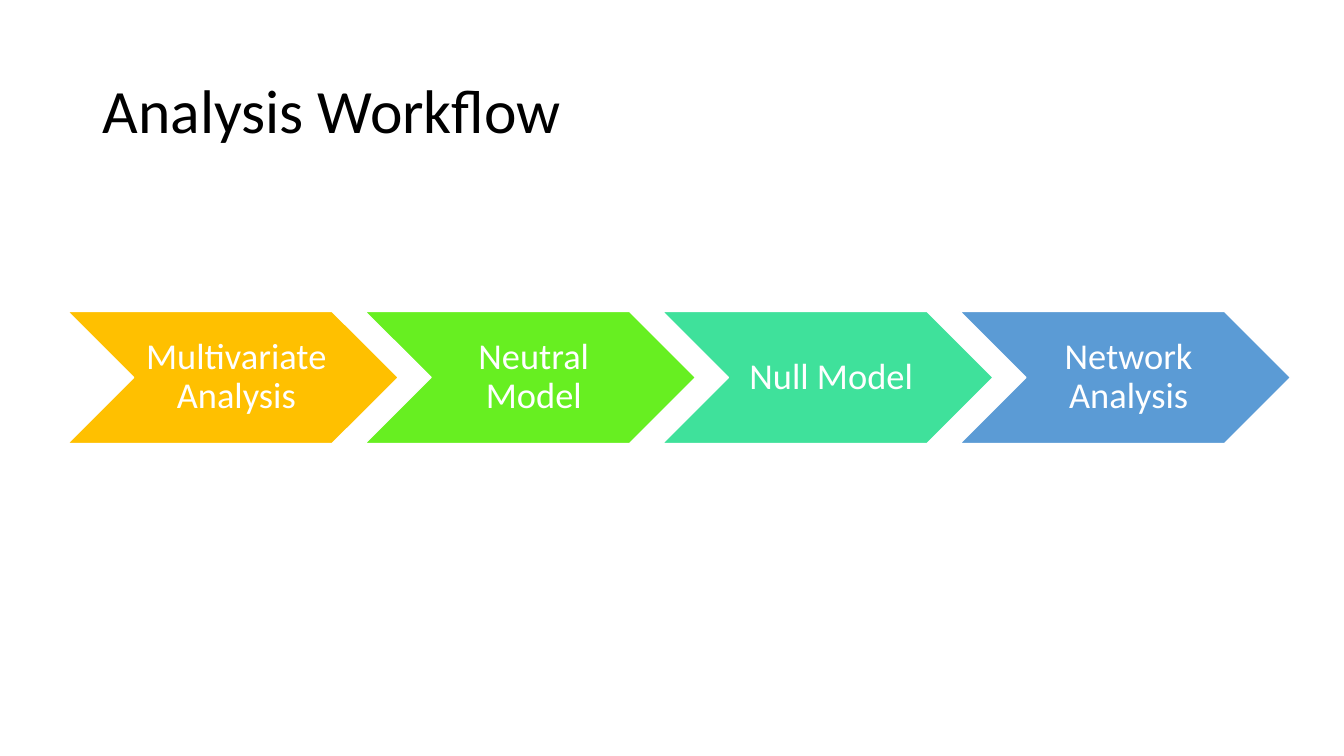
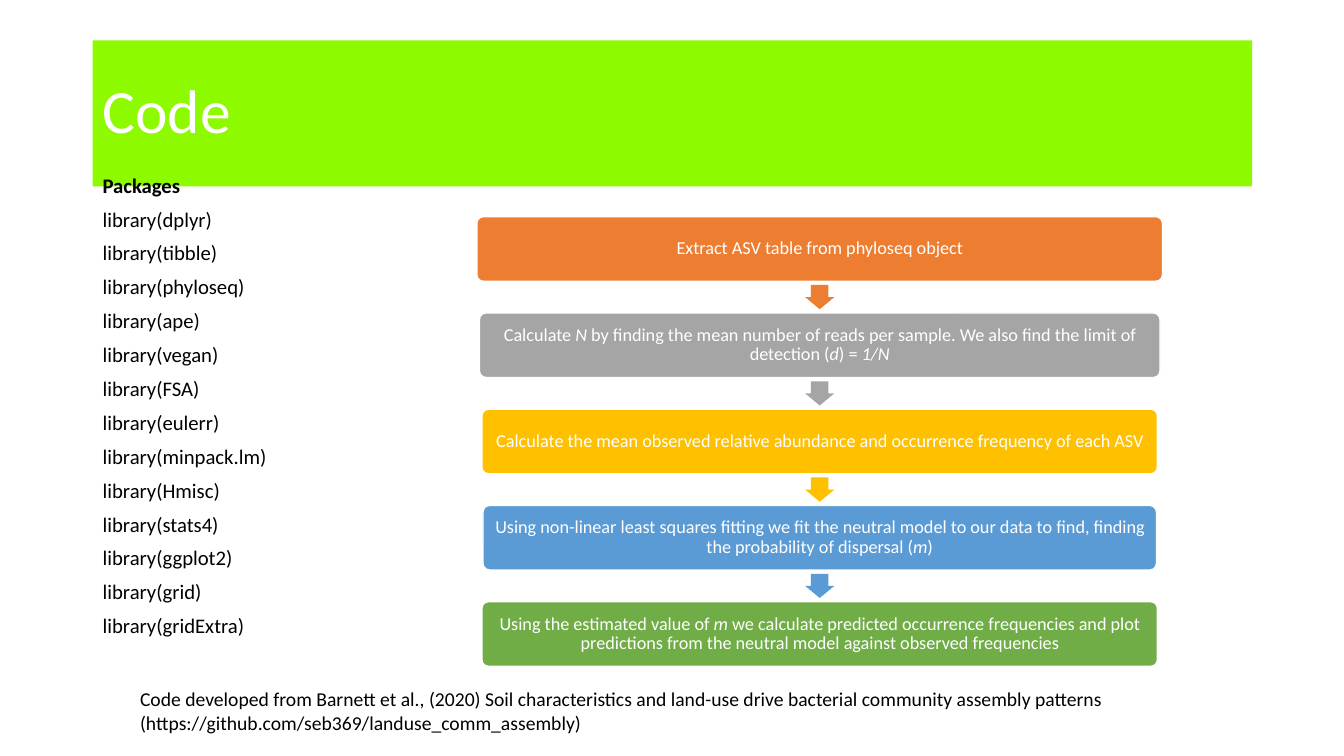
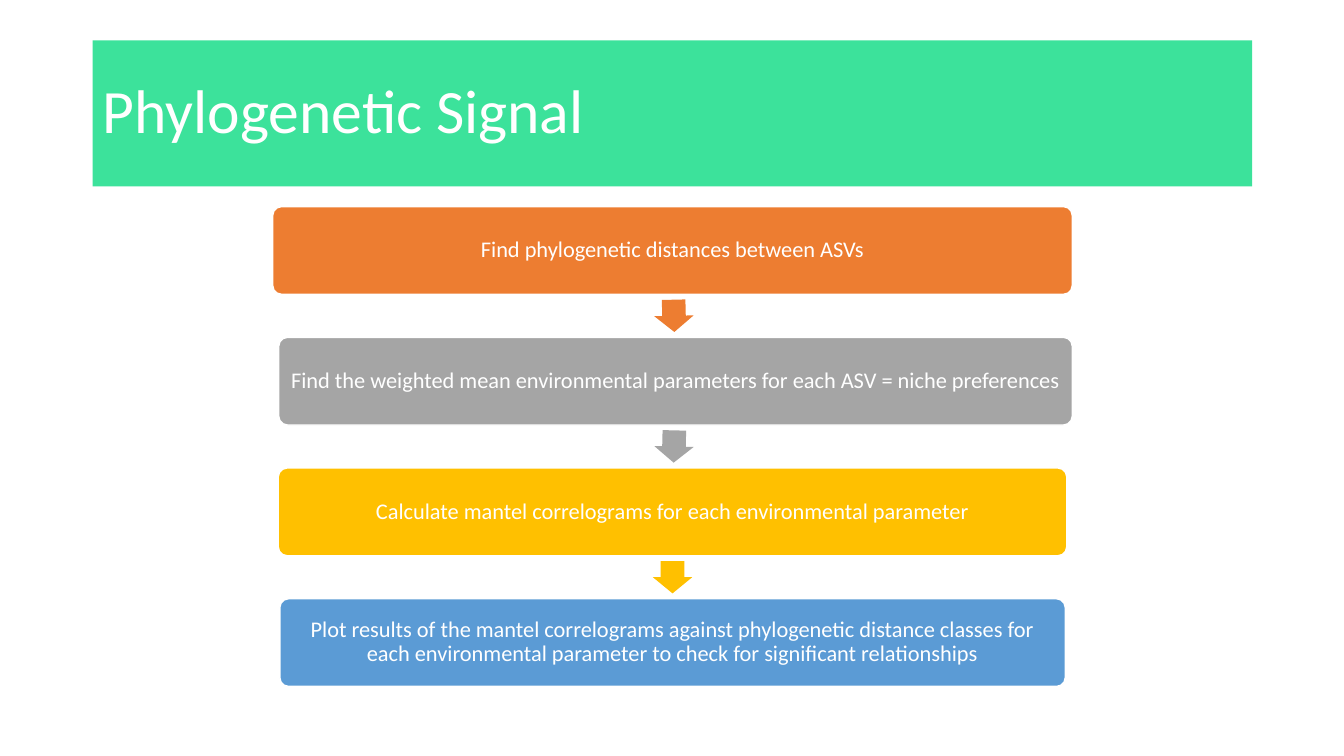
"""Build three slides: the analysis workflow, its code steps and the phylogenetic signal steps."""
import math

from pptx import Presentation
from pptx import util as u
from pptx.dml.color import RGBColor
from pptx.enum import shapes, text

FONT = "Calibri"
BLACK = RGBColor(0x00, 0x00, 0x00)
WHITE = RGBColor(0xFF, 0xFF, 0xFF)
ORANGE = RGBColor(0xED, 0x7D, 0x31)
GREY = RGBColor(0xA5, 0xA5, 0xA5)
GOLD = RGBColor(0xFF, 0xC0, 0x00)
BLUE = RGBColor(0x5B, 0x9B, 0xD5)
GREEN = RGBColor(0x70, 0xAD, 0x47)
LIME = RGBColor(0x67, 0xEF, 0x21)
MINT = RGBColor(0x3F, 0xE1, 0x9B)
LIME_BAND = RGBColor(0x8E, 0xFA, 0x00)
MINT_BAND = RGBColor(0x3C, 0xE2, 0x9B)
STEP_COLOURS = [ORANGE, GREY, GOLD, BLUE, GREEN]


def write(box, words, size, colour, align=text.PP_ALIGN.LEFT, spacing=0.9, anchor=text.MSO_ANCHOR.MIDDLE):
    """Write one paragraph per line, with words between asterisks in italics."""
    frame = box.text_frame
    frame.word_wrap = True
    frame.vertical_anchor = anchor
    for index, line in enumerate(words.split("\n")):
        para = frame.add_paragraph() if index else frame.paragraphs[0]
        para.alignment = align
        para.line_spacing = spacing
        for part, piece in enumerate(line.split("*")):
            span = para.add_run()
            span.text = piece
            span.font.name = FONT
            span.font.size = u.Pt(size)
            span.font.color.rgb = colour
            span.font.italic = part % 2 == 1
    return frame


def add_block(page, kind, left, top, width, height, fill):
    """Add a filled preset shape with a thin white outline."""
    block = page.shapes.add_shape(kind, u.Inches(left), u.Inches(top), u.Inches(width), u.Inches(height))
    block.shadow.inherit = False
    block.fill.solid()
    block.fill.fore_color.rgb = fill
    block.line.color.rgb = WHITE
    block.line.width = u.Pt(1)
    return block


deck = Presentation()
deck.slide_width = u.Inches(13.33)
deck.slide_height = u.Inches(7.5)

pages = []
for title, colour, band in [
    ("Analysis Workflow", BLACK, None),
    ("Code", WHITE, LIME_BAND),
    ("Phylogenetic Signal", WHITE, MINT_BAND),
]:
    page = deck.slides.add_slide(deck.slide_layouts[6])
    title_box = page.shapes.add_textbox(u.Inches(0.92), u.Inches(0.4), u.Inches(11.5), u.Inches(1.45))
    if band is not None:
        title_box.fill.solid()
        title_box.fill.fore_color.rgb = band
    write(title_box, title, 44, colour)
    pages.append(page)
workflow_page, code_page, signal_page = pages

stages = [
    ("Multivariate Analysis", GOLD),
    ("Neutral Model", LIME),
    ("Null Model", MINT),
    ("Network Analysis", BLUE),
]
for index, (stage, colour) in enumerate(stages):
    chevron = add_block(workflow_page, shapes.MSO_SHAPE.CHEVRON, 0.67 + 2.95 * index, 3.09, 3.28, 1.31, colour)
    frame = write(chevron, stage, 26, WHITE, text.PP_ALIGN.CENTER)
    frame.margin_left = u.Inches(0.11)
    frame.margin_right = frame.margin_top = frame.margin_bottom = u.Inches(0.04)

code_steps = [
    (8.13, 6.8, "Extract ASV table from phyloseq object"),
    (8.13, 6.75, "Calculate *N* by finding the mean number of reads per sample. "
     "We also find the limit of detection (*d*) = *1/N*"),
    (8.13, 6.7, "Calculate the mean observed relative abundance and occurrence frequency of each ASV"),
    (8.13, 6.68, "Using non-linear least squares fitting we fit the neutral model to our data to find, "
     "finding the probability of dispersal (*m*)"),
    (8.13, 6.7, "Using the estimated value of *m* we calculate predicted occurrence frequencies and plot "
     "predictions from the neutral model against observed frequencies"),
]
signal_steps = [
    (6.67, 7.93, "Find phylogenetic distances between ASVs"),
    (6.7, 7.87, "Find the weighted mean environmental parameters for each ASV = niche preferences"),
    (6.67, 7.82, "Calculate mantel correlograms for each environmental parameter"),
    (6.67, 7.79, "Plot results of the mantel correlograms against phylogenetic distance classes "
     "for each environmental parameter to check for significant relationships"),
]
flows = [
    (code_page, code_steps, 2.15, 6.61, 0.64, 13, 0.05, 0.29, 0.24),
    (signal_page, signal_steps, 2.05, 6.81, 0.87, 16, 0.07, 0.39, 0.32),
]
for page, steps, first_top, last_bottom, height, size, margin, arrow_width, arrow_height in flows:
    pitch = (last_bottom - height - first_top) / (len(steps) - 1)
    for index, (centre, width, words) in enumerate(steps):
        top = first_top + pitch * index
        colour = STEP_COLOURS[index]
        step = add_block(page, shapes.MSO_SHAPE.ROUNDED_RECTANGLE, centre - width / 2, top, width, height, colour)
        step.adjustments[0] = 0.1
        frame = write(step, words, size, WHITE, text.PP_ALIGN.CENTER)
        frame.margin_left = frame.margin_right = u.Inches(margin)
        frame.margin_top = frame.margin_bottom = u.Inches(margin)
        if index + 1 < len(steps):
            next_centre = steps[index + 1][0]
            arrow_left = (centre + next_centre - arrow_width) / 2
            arrow_top = top + (height + pitch - arrow_height) / 2
            arrow = add_block(page, shapes.MSO_SHAPE.DOWN_ARROW, arrow_left, arrow_top,
                              arrow_width, arrow_height, colour)
            arrow.line.fill.background()
            arrow.adjustments[0] = 0.6
            arrow.adjustments[1] = 0.5
            arrow.rotation = -math.degrees(math.atan2(next_centre - centre, pitch))

libraries = ["dplyr", "tibble", "phyloseq", "ape", "vegan", "FSA", "eulerr", "minpack.lm",
             "Hmisc", "stats4", "ggplot2", "grid", "gridExtra"]
packages_box = code_page.shapes.add_textbox(u.Inches(0.92), u.Inches(1.71), u.Inches(1.97), u.Inches(4.76))
package_lines = "\n".join(["Packages"] + [f"library({name})" for name in libraries])
frame = write(packages_box, package_lines, 14.8, BLACK, spacing=0.8, anchor=text.MSO_ANCHOR.TOP)
frame.paragraphs[0].runs[0].font.bold = True
for para in frame.paragraphs[1:]:
    para.space_before = u.Pt(10)

credit_box = code_page.shapes.add_textbox(u.Inches(1.29), u.Inches(6.77), u.Inches(10.75), u.Inches(0.57))
credit = ("Code developed from Barnett et al., (2020) Soil characteristics and land-use drive bacterial "
          "community assembly patterns (https://github.com/seb369/landuse_comm_assembly)")
write(credit_box, credit, 14, BLACK, spacing=1.0, anchor=text.MSO_ANCHOR.TOP)

deck.save("out.pptx")
